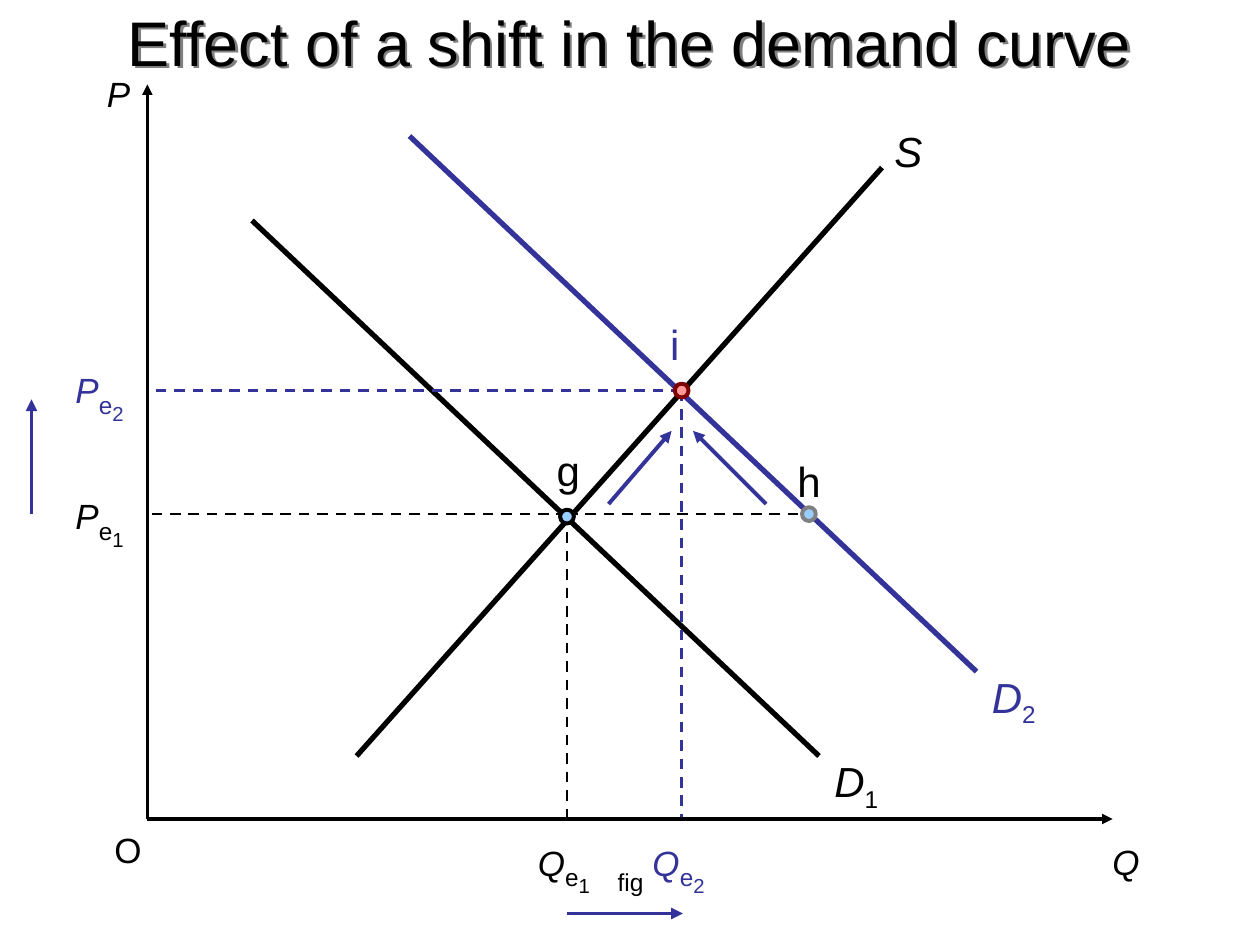
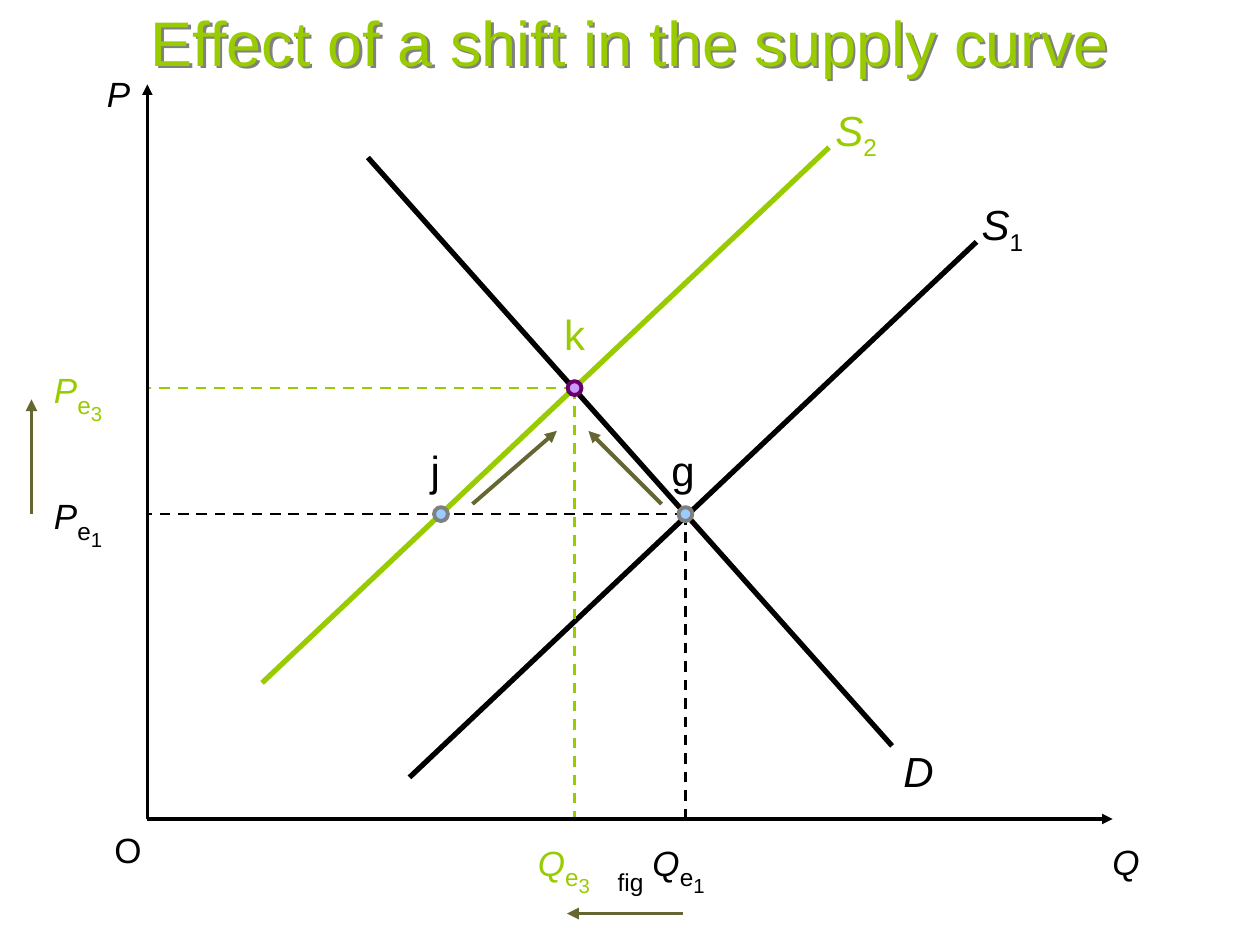
from collections import namedtuple

from lxml.etree import SubElement
from pptx import Presentation
from pptx.dml.color import RGBColor
from pptx.enum.dml import MSO_LINE
from pptx.enum.shapes import MSO_CONNECTOR, MSO_SHAPE
from pptx.enum.text import MSO_ANCHOR, PP_ALIGN
from pptx.oxml.ns import qn
from pptx.util import Emu, Pt

PX = 9144  # 100 px to the inch
WIDTH, HEIGHT = 1000, 750
FONT = "Arial"

BLACK = RGBColor(0x00, 0x00, 0x00)
GREY = RGBColor(0x80, 0x80, 0x80)
INDIGO = RGBColor(0x33, 0x33, 0x99)
LIME = RGBColor(0x99, 0xCC, 0x00)
OLIVE = RGBColor(0x66, 0x66, 0x33)
SKY = RGBColor(0x99, 0xCC, 0xFF)
PINK = RGBColor(0xFF, 0x99, 0x99)
MAROON = RGBColor(0x80, 0x00, 0x00)
LILAC = RGBColor(0xCC, 0x99, 0xFF)
PURPLE = RGBColor(0x66, 0x00, 0x66)

PLOT = (117, 67, 766, 583)
LOW, HIGH = 242, 342  # price levels above the quantity axis

Run = namedtuple("Run", "text size italic drop", defaults=(24, False, 0))
# Curve ends and points are measured right and up from the plot's origin.
Curve = namedtuple("Curve", "start end name sub color tag")
Point = namedtuple("Point", "name x y color fill edge tag")
Guide = namedtuple("Guide", "start end color")
Mark = namedtuple("Mark", "sub level left color")


def px(*lengths):
    return [Emu(round(n * PX)) for n in lengths]


def write(slide, box, *runs, color=BLACK, align=PP_ALIGN.LEFT, wrap=True,
          anchor=MSO_ANCHOR.TOP):
    shape = slide.shapes.add_textbox(*px(*box))
    frame = shape.text_frame
    frame.word_wrap = wrap
    frame.vertical_anchor = anchor
    para = frame.paragraphs[0]
    para.alignment = align
    for part in runs:
        run = para.add_run()
        run.text = part.text
        run.font.name = FONT
        run.font.size = Pt(part.size)
        run.font.italic = part.italic
        run.font.color.rgb = color
        if part.drop:
            run.font._element.set("baseline", str(-1000 * part.drop))
    return shape


def draw(slide, start, end, color=BLACK, width=3, dash=False, arrow=False):
    line = slide.shapes.add_connector(
        MSO_CONNECTOR.STRAIGHT, *px(*start, *end))
    line.line.color.rgb = color
    line.line.width = Pt(width)
    if dash:
        line.line.dash_style = MSO_LINE.DASH
    if arrow:
        SubElement(line.line._get_or_add_ln(), qn("a:tailEnd"),
                   type="triangle")
    SubElement(line._element.spPr, qn("a:effectLst"))


def dot(slide, x, y, fill, edge):
    size = 11
    shape = slide.shapes.add_shape(
        MSO_SHAPE.OVAL, *px(x - size / 2, y - size / 2, size, size))
    shape.shadow.inherit = False
    shape.fill.solid()
    shape.fill.fore_color.rgb = fill
    shape.line.color.rgb = edge
    shape.line.width = Pt(2.25)


def title(slide, box, text, color):
    shape = write(slide, box, Run(text, 36), color=color,
                  align=PP_ALIGN.CENTER, anchor=MSO_ANCHOR.MIDDLE)
    effects = SubElement(shape._element.spPr, qn("a:effectLst"))
    shadow = SubElement(effects, qn("a:outerShdw"), dist="25400",
                        dir="2700000", algn="ctr", rotWithShape="0")
    SubElement(shadow, qn("a:srgbClr"), val=str(GREY))


def axes(slide, box):
    left, top, width, height = box
    base = top + height
    draw(slide, (left, base), (left + width, base), width=2, arrow=True)
    draw(slide, (left, base), (left, top), width=2, arrow=True)
    write(slide, (left - 42, top - 14, 37, 43), Run("P", 20, True))
    write(slide, (left + width - 10, base + 12, 42, 43),
          Run("Q", 20, True), wrap=False)
    write(slide, (left - 36, base + 3, 42, 43), Run("O", 20), wrap=False)


def marks(slide, box, items, indent):
    """Name each equilibrium price and quantity beside its axis."""
    left, top, _, height = box
    base = top + height
    for item in items:
        spots = {"P": (left - indent, base - item.level - 26),
                 "Q": (left + item.left, base + 7)}
        for name, spot in spots.items():
            write(slide, (*spot, 75, 61), Run(name, 20, True),
                  Run("e", 24, False, 25), Run(item.sub, 20, False, 50),
                  color=item.color)


def plot(slide, box, curves, guides, points):
    left, top, _, height = box

    def at(x, y):
        return left + x, top + height - y

    for curve in curves:
        draw(slide, at(*curve.start), at(*curve.end), curve.color)
    for guide in guides:
        draw(slide, at(*guide.start), at(*guide.end), guide.color, 1.5,
             dash=True)
    axes(slide, box)
    for curve in curves:
        runs = [Run(curve.name, 24, True)]
        if curve.sub:
            runs.append(Run(curve.sub, 24, False, 25))
        write(slide, (*at(*curve.tag[:2]), curve.tag[2], 56), *runs,
              color=curve.color, align=PP_ALIGN.CENTER, wrap=False)
    for point in points:
        dot(slide, *at(point.x, point.y), point.fill, point.edge)
        write(slide, (*at(*point.tag[:2]), point.tag[2], 50),
              Run(point.name), color=point.color, wrap=False)


def drop(x, y, color):
    """Guides from a point to both axes."""
    return [Guide((x, y), (0, y), color), Guide((x, y), (x, 0), color)]


def moves(slide, box, paths, color):
    left, top, _, height = box
    base = top + height
    for x1, y1, x2, y2 in paths:
        draw(slide, (left + x1, base - y1), (left + x2, base - y2), color,
             2.25, arrow=True)


def page(deck, heading, tint, curves, guides, points, items, indent,
         paths, arrow):
    slide = deck.slides.add_slide(deck.slide_layouts[6])
    plot(slide, PLOT, curves, guides, points)
    marks(slide, PLOT, items, indent)
    moves(slide, PLOT, [(-92, LOW, -92, 333), *paths], arrow)
    title(slide, (0, 0, WIDTH, 65), heading, tint)
    write(slide, (342, 683, 317, 52), Run("fig", 14),
          align=PP_ALIGN.CENTER)


def demand(deck):
    page(
        deck, "Effect of a shift in the demand curve", BLACK,
        curves=[
            Curve((166, 50), (583, 517), "S", "", BLACK, (583, 555, 42)),
            Curve((83, 475), (533, 50), "D", "1", BLACK, (535, 55, 55)),
            Curve((208, 542), (658, 117), "D", "2", INDIGO, (660, 122, 55)),
        ],
        guides=[*drop(333, LOW, BLACK),
                Guide((333, LOW), (525, LOW), BLACK),
                *drop(424, 340, INDIGO)],
        points=[
            Point("g", 333, 240, BLACK, SKY, BLACK, (315, 302, 39)),
            Point("h", 525, LOW, BLACK, SKY, GREY, (506, 293, 39)),
            Point("i", 424, 340, INDIGO, PINK, MAROON, (405, 402, 28)),
        ],
        items=[Mark("1", LOW, 300, BLACK), Mark("2", HIGH, 391, INDIGO)],
        indent=67,
        paths=[(333, -75, 425, -75), (366, 250, 416, 308),
               (491, 250, 433, 308)],
        arrow=INDIGO)


def supply(deck):
    page(
        deck, "Effect of a shift in the supply curve", LIME,
        curves=[
            Curve((591, 58), (175, 525), "D", "", BLACK, (590, 63, 44)),
            Curve((658, 458), (208, 33), "S", "1", BLACK, (652, 497, 53)),
            Curve((541, 533), (91, 108), "S", "2", LIME, (536, 572, 53)),
        ],
        guides=[*drop(427, LOW, BLACK), *drop(339, HIGH, LIME)],
        points=[
            Point("j", 233, LOW, BLACK, SKY, GREY, (215, 302, 28)),
            Point("g", 427, LOW, BLACK, SKY, GREY, (406, 302, 39)),
            Point("k", 339, HIGH, LIME, LILAC, PURPLE, (321, 410, 37)),
        ],
        items=[Mark("1", LOW, 391, BLACK), Mark("3", HIGH, 300, LIME)],
        indent=84,
        paths=[(425, -75, 333, -75), (258, 250, 325, 308),
               (408, 250, 350, 308)],
        arrow=OLIVE)


def main():
    deck = Presentation()
    deck.slide_width, deck.slide_height = px(WIDTH, HEIGHT)
    demand(deck)
    supply(deck)
    deck.save("out.pptx")


if __name__ == "__main__":
    main()
